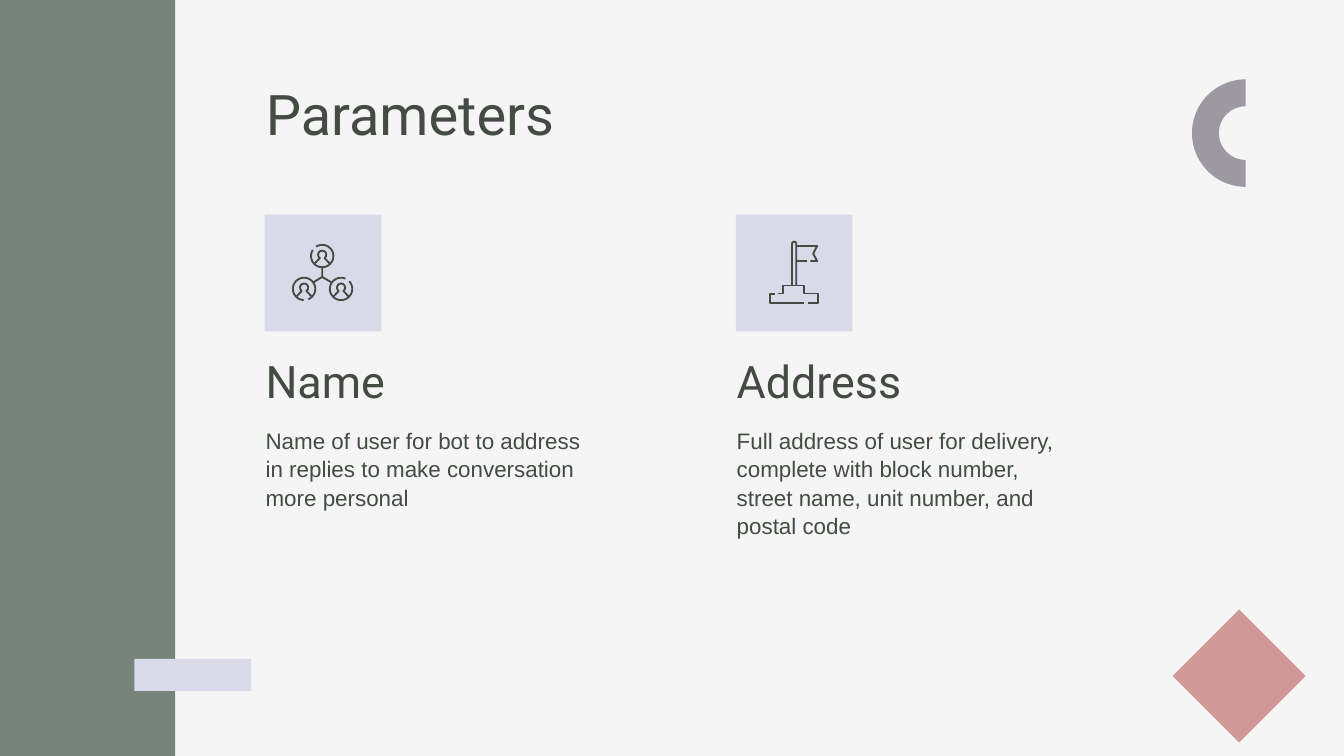
"""Build the Parameters slide with two icon columns."""
import math

import pptx
import pptx.util
import pptx.dml.color
import pptx.enum.shapes
import pptx.enum.text

Pt = pptx.util.Pt
RGB = pptx.dml.color.RGBColor.from_string
KIND = pptx.enum.shapes.MSO_SHAPE
ANCHOR = pptx.enum.text.MSO_ANCHOR
COLORS = {"back": "F5F5F5", "green": "77847B", "text": "434B43",
          "rose": "D19898", "lilac": "DAD9E9", "gray": "9C99A2"}

deck = pptx.Presentation()
deck.slide_width, deck.slide_height = Pt(720), Pt(405)
slide = deck.slides.add_slide(deck.slide_layouts[5])
slide.background.fill.solid()
slide.background.fill.fore_color.rgb = RGB(COLORS["back"])


def write(box, text, font, size, anchor=ANCHOR.TOP, lead=1.0):
    frame = box.text_frame
    frame.text = text
    frame.word_wrap = True
    frame.auto_size = pptx.enum.text.MSO_AUTO_SIZE.NONE
    frame.vertical_anchor = anchor
    frame.margin_left = frame.margin_right = Pt(7.2)
    frame.margin_top = frame.margin_bottom = Pt(7.2)
    para = frame.paragraphs[0]
    para.alignment = pptx.enum.text.PP_ALIGN.LEFT
    para.line_spacing = lead
    run = para.runs[0]
    run.font.name, run.font.size = font, Pt(size)
    run.font.color.rgb = RGB(COLORS["text"])


def stroke(paths):
    pen = None
    for path in paths:
        dots = [(Pt(x), Pt(y)) for x, y in path]
        if pen is None:
            pen = slide.shapes.build_freeform(*dots[0])
        else:
            pen.move_to(*dots[0])
        pen.add_line_segments(dots[1:], close=False)
    icon = pen.convert_to_shape()
    icon.shadow.inherit = False
    icon.fill.background()
    icon.line.width = Pt(1)
    icon.line.color.rgb = RGB(COLORS["text"])


for kind, left, top, width, height, turn, color in [
    (KIND.RECTANGLE, -0.5, 0, 94.3, 405, 0, "green"),
    (KIND.RECTANGLE, 638.6, 337, 50.4, 50.4, 45, "rose"),
    (KIND.RECTANGLE, 72, 353, 62.5, 17.2, 0, "lilac"),
    (KIND.BLOCK_ARC, 638.6, 42.5, 57.6, 57.6, 270, "gray"),
    (KIND.RECTANGLE, 141.8, 115, 62.5, 62.5, 0, "lilac"),
    (KIND.RECTANGLE, 394.2, 115, 62.5, 62.5, 0, "lilac"),
]:
    shape = slide.shapes.add_shape(kind, Pt(left), Pt(top), Pt(width), Pt(height))
    shape.rotation = turn
    shape.shadow.inherit = False
    shape.fill.solid()
    shape.fill.fore_color.rgb = RGB(COLORS[color])
    shape.line.fill.background()

title = slide.shapes.title
title.left, title.top, title.width, title.height = Pt(135.2), Pt(35.3), Pt(528.5), Pt(45.4)
write(title, "Parameters", "Roboto", 30)

for left, width, name, body in [
    (135.2, 183.6, "Name",
     "Name of user for bot to address in replies to make conversation more personal"),
    (387.6, 197.3, "Address",
     "Full address of user for delivery, complete with block number, "
     "street name, unit number, and postal code"),
]:
    head = slide.shapes.add_textbox(Pt(left), Pt(181.5), Pt(197.3), Pt(44))
    write(head, name, "Roboto", 24, ANCHOR.BOTTOM)
    note = slide.shapes.add_textbox(Pt(left), Pt(221), Pt(width), Pt(123))
    write(note, body, "Arial", 12, lead=1.05)

people = [[(172.6, 143.2), (172.6, 148.4), (168, 151.2)],
          [(172.6, 148.4), (177.4, 151.2)]]
for x, y, gap in [(172.6, 137.2, 225), (162.9, 154.8, 80), (182.7, 154.8, 305)]:
    ring = [math.radians(gap + 12 + 12 * step) for step in range(29)]
    people.append([(x + 6 * math.cos(a), y + 6 * math.sin(a)) for a in ring])
    skull = [math.radians(125 + 29 * step) for step in range(11)]
    face = [(x + 2.2 * math.cos(a), y - 0.7 + 2.2 * math.sin(a)) for a in skull]
    people.append([(x - 4.2, y + 4.2), *face, (x + 4.2, y + 4.2)])
stroke(people)

stroke([[(415.2, 157.3), (412.4, 157.3), (412.4, 162.2), (430.6, 162.2)]])
stroke([
    [(424.3, 153), (424.3, 130.4), (424.8, 129.6), (426.1, 129.6),
     (426.6, 130.4), (426.6, 153)],
    [(426.6, 131.8), (437.8, 131.8), (435.6, 135.9), (437.8, 139.9), (434.2, 139.9)],
    [(432.4, 139.9), (426.6, 139.9)],
    [(416.6, 157.3), (419.6, 157.3), (419.6, 153), (430.6, 153),
     (430.6, 157.3), (438, 157.3), (438, 162.2), (432.6, 162.2)],
])

deck.save("out.pptx")
